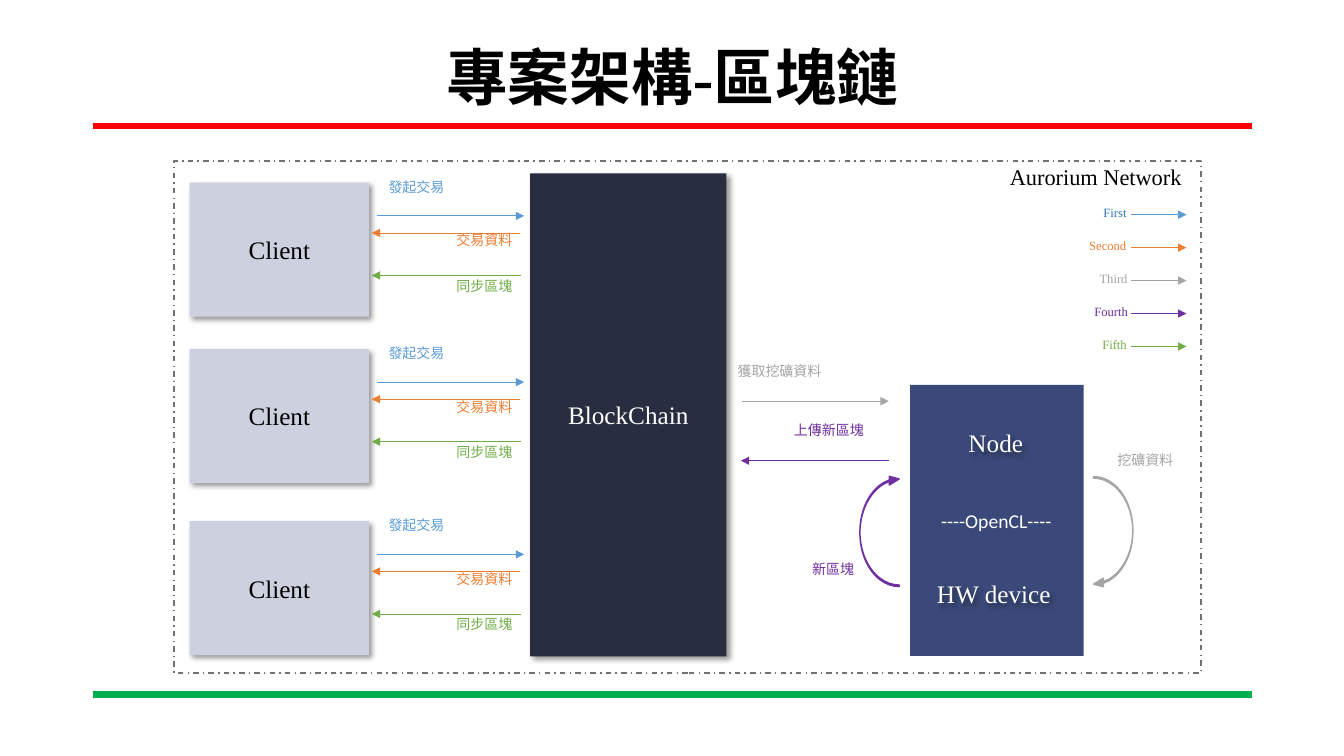
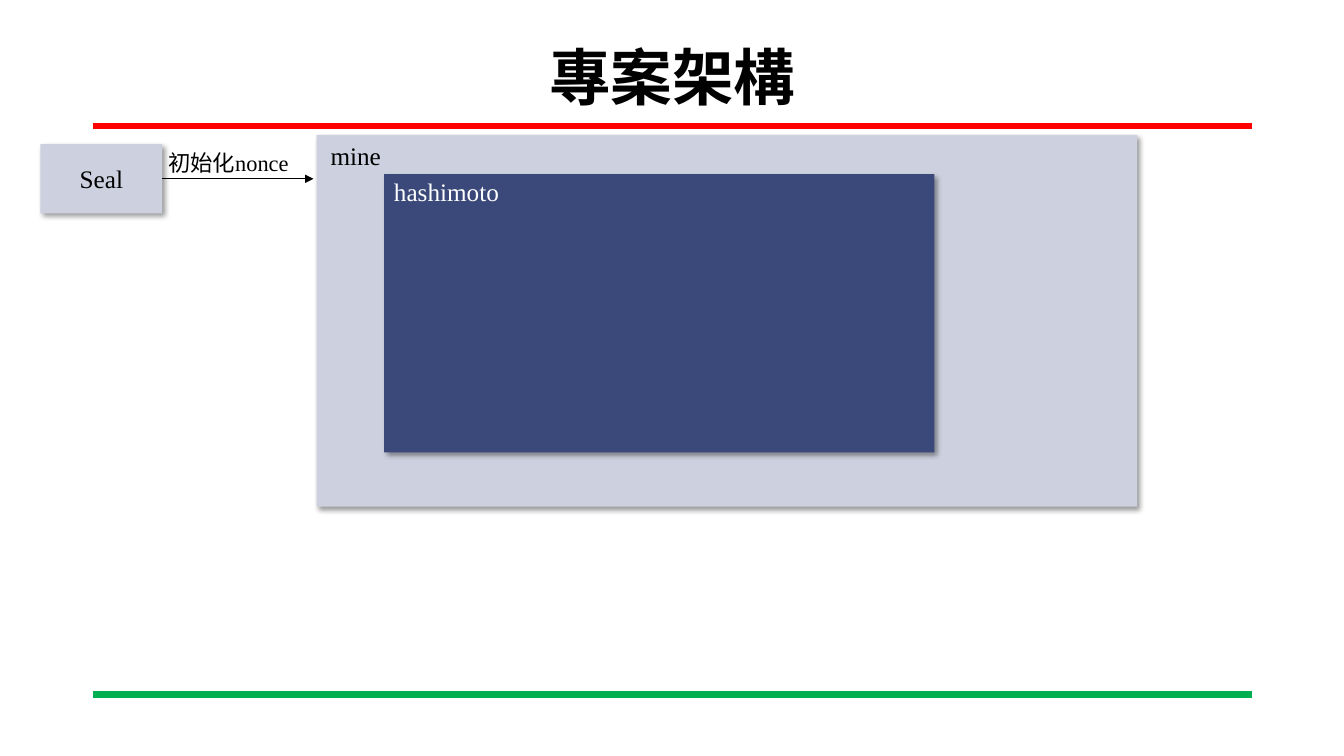
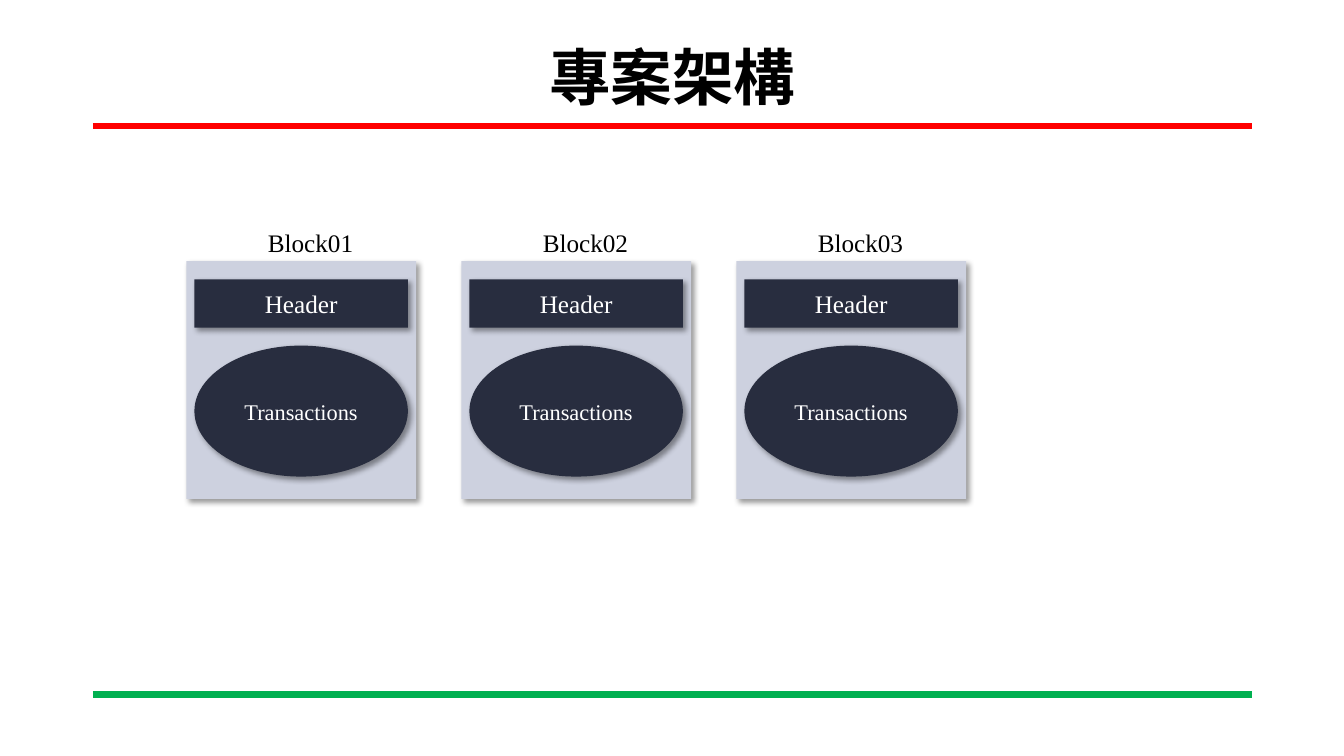
import dataclasses
import typing

import lxml.etree
import pptx
import pptx.dml.color
import pptx.enum.dml
import pptx.enum.shapes
import pptx.enum.text
import pptx.oxml.ns
import pptx.util

Cm = pptx.util.Cm
Pt = pptx.util.Pt
qn = pptx.oxml.ns.qn
Color = pptx.dml.color.RGBColor
Preset = pptx.enum.shapes.MSO_SHAPE
Align = pptx.enum.text.PP_ALIGN
Anchor = pptx.enum.text.MSO_ANCHOR


@dataclasses.dataclass(frozen=True)
class Theme:
    black: Color = Color.from_string("000000")
    white: Color = Color.from_string("FFFFFF")
    red: Color = Color.from_string("FF0000")
    emerald: Color = Color.from_string("00B050")
    frame: Color = Color.from_string("767171")
    pale: Color = Color.from_string("CDD1DF")
    navy: Color = Color.from_string("282D3F")
    indigo: Color = Color.from_string("3A4979")
    blue: Color = Color.from_string("5B9BD5")
    deep_blue: Color = Color.from_string("2E75B6")
    orange: Color = Color.from_string("ED7D31")
    gray: Color = Color.from_string("A5A5A5")
    purple: Color = Color.from_string("7030A0")
    green: Color = Color.from_string("70AD47")
    latin: str = "Times New Roman"
    cjk: str = "Noto Sans CJK SC"
    sans: str = "Calibri"
    title: int = 44
    heading: int = 18
    body: int = 16
    note: int = 14
    label: int = 10
    legend: int = 9


THEME = Theme()


class Box(typing.NamedTuple):
    """A rectangle in centimetres."""
    left: float
    top: float
    width: float
    height: float

    def emu(self) -> list[int]:
        return [Cm(length) for length in self]


@dataclasses.dataclass(frozen=True)
class Style:
    size: int = THEME.heading
    color: Color = THEME.black
    font: str = THEME.latin
    align: Align = Align.CENTER
    bold: bool = False


@dataclasses.dataclass(frozen=True)
class Flow:
    """A labelled arrow; on clients the heights count from the box top."""
    text: str
    color: Color
    start: float
    end: float
    y: float
    label: Box


@dataclasses.dataclass(frozen=True)
class LegendEntry:
    text: str
    text_color: Color
    arrow_color: Color
    left: float
    width: float


@dataclasses.dataclass(frozen=True)
class Loop:
    """A curved arrow beside the node, with its label."""
    text: str
    color: Color
    arrow: Box
    rotation: int
    label: Box


CLIENT_TOPS = (4.6, 8.79, 13.13)
CLIENT_FLOWS = (
    Flow("發起交易", THEME.blue, 9.5, 13.21, 0.84, Box(8.64, -0.23, 3.71, 1.17)),
    Flow("交易資料", THEME.orange, 13.11, 9.37, 1.27, Box(10.77, 1.12, 2.87, 1.17)),
    Flow("同步區塊", THEME.green, 13.13, 9.37, 2.34, Box(10.77, 2.26, 2.87, 1.17)),
)
MINING_FLOWS = (
    Flow("獲取挖礦資料", THEME.gray, 18.69, 22.4, 10.11, Box(18.34, 9.02, 3.53, 1.17)),
    Flow("上傳新區塊", THEME.purple, 22.4, 18.67, 11.61, Box(19.76, 10.49, 3.07, 1.17)),
)
LOOPS = (
    Loop("挖礦資料", THEME.gray, Box(27.56, 12.01, 0.99, 2.82), 0,
         Box(27.91, 11.25, 2.59, 1.17)),
    Loop("新區塊", THEME.purple, Box(21.67, 11.96, 0.99, 2.82), 180,
         Box(20.22, 14, 2.11, 1.17)),
)
LEGEND = (
    LegendEntry("First", THEME.deep_blue, THEME.blue, 27.56, 1.22),
    LegendEntry("Second", THEME.orange, THEME.orange, 27.2, 1.7),
    LegendEntry("Third", THEME.gray, THEME.gray, 27.46, 1.3),
    LegendEntry("Fourth", THEME.purple, THEME.purple, 27.33, 1.42),
    LegendEntry("Fifth", THEME.green, THEME.green, 27.53, 1.14),
)


def write(shape, text: str, style: Style) -> None:
    paragraph = shape.text_frame.paragraphs[0]
    paragraph.text = text
    paragraph.alignment = style.align
    font = paragraph.font
    font.size = Pt(style.size)
    font.name = style.font
    font.bold = style.bold
    font.color.rgb = style.color
    for defaults in shape.element.iter(qn("a:defRPr")):
        lxml.etree.SubElement(defaults, qn("a:ea"), typeface=THEME.cjk)


def cast_shadow(shape) -> None:
    effects = shape.element.find(".//" + qn("a:effectLst"))
    shadow = lxml.etree.SubElement(
        effects, qn("a:outerShdw"), blurRad=str(Pt(4)), dist=str(Pt(3)),
        dir="2700000", algn="tl", rotWithShape="0")
    color = lxml.etree.SubElement(shadow, qn("a:srgbClr"), val=str(THEME.black))
    lxml.etree.SubElement(color, qn("a:alpha"), val="40000")


def add_panel(slide, box: Box, fill: Color | None, text: str = "",
              style: Style = Style(), shadow: bool = True,
              preset: Preset = Preset.RECTANGLE):
    """Draw a borderless shape with centred text; without fill only text shows."""
    panel = slide.shapes.add_shape(preset, *box.emu())
    panel.shadow.inherit = False
    panel.line.fill.background()
    if fill is None:
        panel.fill.background()
    else:
        panel.fill.solid()
        panel.fill.fore_color.rgb = fill
    if shadow:
        cast_shadow(panel)
    if text:
        panel.text_frame.vertical_anchor = Anchor.MIDDLE
        write(panel, text, style)
    return panel


def add_label(slide, box: Box, text: str, style: Style, wrap: bool = False) -> None:
    label = slide.shapes.add_textbox(*box.emu())
    label.text_frame.word_wrap = wrap
    label.text_frame.auto_size = pptx.enum.text.MSO_AUTO_SIZE.SHAPE_TO_FIT_TEXT
    write(label, text, style)


def add_line(slide, start: float, end: float, y: float, color: Color,
             width: float = 0.5, arrow: bool = True):
    """Draw a horizontal line, with an arrowhead at its end if wanted."""
    line = slide.shapes.add_connector(
        pptx.enum.shapes.MSO_CONNECTOR.STRAIGHT, Cm(start), Cm(y), Cm(end), Cm(y))
    line.line.color.rgb = color
    line.line.width = Pt(width)
    if arrow:
        outline = line.element.find(".//" + qn("a:ln"))
        lxml.etree.SubElement(outline, qn("a:tailEnd"), type="triangle")
    lxml.etree.SubElement(line.element.spPr, qn("a:effectLst"))
    return line


def add_titled_slide(deck, title: str):
    slide = deck.slides.add_slide(deck.slide_layouts[5])
    heading = slide.shapes.title
    heading.left, heading.top, heading.width, heading.height = (
        Box(2.34, 1.02, 29.21, 2.01).emu())
    heading.text_frame.vertical_anchor = Anchor.MIDDLE
    write(heading, title, Style(THEME.title, bold=True))
    heading.text_frame.paragraphs[0].line_spacing = 0.9
    return slide


def move_rules_to_layout(slide) -> None:
    """Draw the red and green rules and hand them to the shared layout."""
    for number, (y, color) in enumerate(((3.18, THEME.red), (17.5, THEME.emerald))):
        rule = add_line(slide, 2.34, 31.55, y, color, 4.5, arrow=False)
        rule.element.find(".//" + qn("p:cNvPr")).set("id", str(101 + number))
        slide.slide_layout.shapes.element.append(rule.element)


def add_flow(slide, flow: Flow, style: Style, top: float = 0, wrap: bool = False) -> None:
    add_line(slide, flow.start, flow.end, top + flow.y, flow.color)
    box = flow.label._replace(top=top + flow.label.top)
    add_label(slide, box, flow.text, style, wrap)


def add_legend(slide) -> None:
    for row, entry in enumerate(LEGEND):
        y = 5.41 + row * 0.83
        add_line(slide, 28.5, 29.9, y, entry.arrow_color)
        add_label(slide, Box(entry.left, y - 0.36, entry.width, 0.64), entry.text,
                  Style(THEME.legend, entry.text_color, align=Align.LEFT))


def add_loop(slide, loop: Loop) -> None:
    arrow = add_panel(slide, loop.arrow, loop.color, shadow=False,
                      preset=Preset.CURVED_LEFT_ARROW)
    arrow.rotation = loop.rotation
    for index, value in enumerate((0.04, 0.22, 0.25)):
        arrow.adjustments[index] = value
    arrow.line.color.rgb = loop.color
    arrow.line.width = Pt(1)
    add_label(slide, loop.label, loop.text, mining_style(loop.color))


def mining_style(color: Color) -> Style:
    return Style(THEME.label, color, THEME.cjk, Align.LEFT)


def build_network(slide) -> None:
    frame = add_panel(slide, Box(4.39, 4.06, 25.88, 12.9), None, shadow=False)
    frame.line.color.rgb = THEME.frame
    frame.line.width = Pt(1)
    frame.line.dash_style = pptx.enum.dml.MSO_LINE.DASH_DOT
    add_label(slide, Box(25.2, 3.99, 5.08, 1.09), "Aurorium Network",
              Style(THEME.body, align=Align.LEFT))
    light = Style(color=THEME.white)
    add_panel(slide, Box(13.36, 4.37, 4.95, 12.17), THEME.navy, "BlockChain", light)

    for top in CLIENT_TOPS:
        add_panel(slide, Box(4.78, top, 4.52, 3.38), THEME.pale, "Client")
        for flow in CLIENT_FLOWS:
            add_flow(slide, flow, Style(THEME.label, flow.color), top, wrap=True)
    add_legend(slide)
    for flow in MINING_FLOWS:
        add_flow(slide, flow, mining_style(flow.color))

    add_panel(slide, Box(22.94, 9.7, 4.37, 6.83), THEME.indigo, shadow=False)
    add_panel(slide, Box(23.29, 9.93, 3.61, 2.44), None, "Node", light)
    add_panel(slide, Box(23.24, 13.74, 3.61, 2.44), None, "HW device", light)
    for loop in LOOPS:
        add_loop(slide, loop)
    add_panel(slide, Box(22.94, 12.17, 4.34, 1.88), None, "----OpenCL----",
              Style(THEME.note, THEME.white, THEME.sans), shadow=False)


def build_mining(slide) -> None:
    add_panel(slide, Box(7.98, 3.4, 20.68, 9.37), THEME.pale)
    add_label(slide, Box(8.08, 3.4, 1.9, 1.12), "mine", Style(align=Align.LEFT))
    seal_box = Box(1.02, 3.63, 3.07, 1.75)
    seal = add_panel(slide, seal_box, THEME.pale, "Seal")
    start = add_line(slide, seal_box.left + seal_box.width, 7.9,
                     seal_box.top + seal_box.height / 2, THEME.black)
    start.begin_connect(seal, 3)
    add_label(slide, Box(3.99, 3.63, 3.58, 0.94), "初始化nonce",
              Style(THEME.body, align=Align.LEFT), wrap=True)
    add_panel(slide, Box(9.68, 4.39, 13.87, 7.01), THEME.indigo)
    add_label(slide, Box(9.68, 4.32, 3.18, 1.8), "hashimoto",
              Style(color=THEME.white, align=Align.LEFT))


def build_blocks(slide) -> None:
    for index in range(3):
        left = 4.7 + index * 6.93
        add_panel(slide, Box(left, 6.58, 5.79, 5.99), THEME.pale)
        add_panel(slide, Box(left + 0.2, 7.04, 5.38, 1.22), THEME.navy, "Header",
                  Style(color=THEME.white))
        add_panel(slide, Box(left + 0.2, 8.71, 5.38, 3.3), THEME.navy, "Transactions",
                  Style(THEME.body, THEME.white), preset=Preset.OVAL)
        add_label(slide, Box(left + 1.8, 5.61, 2.69, 1.02), f"Block{index + 1:02}",
                  Style(align=Align.LEFT))


def main() -> None:
    deck = pptx.Presentation()
    deck.slide_width, deck.slide_height = Cm(33.87), Cm(19.05)
    network = add_titled_slide(deck, "專案架構-區塊鏈")
    move_rules_to_layout(network)
    build_network(network)
    build_mining(add_titled_slide(deck, "專案架構"))
    build_blocks(add_titled_slide(deck, "專案架構"))
    deck.save("out.pptx")


if __name__ == "__main__":
    main()
